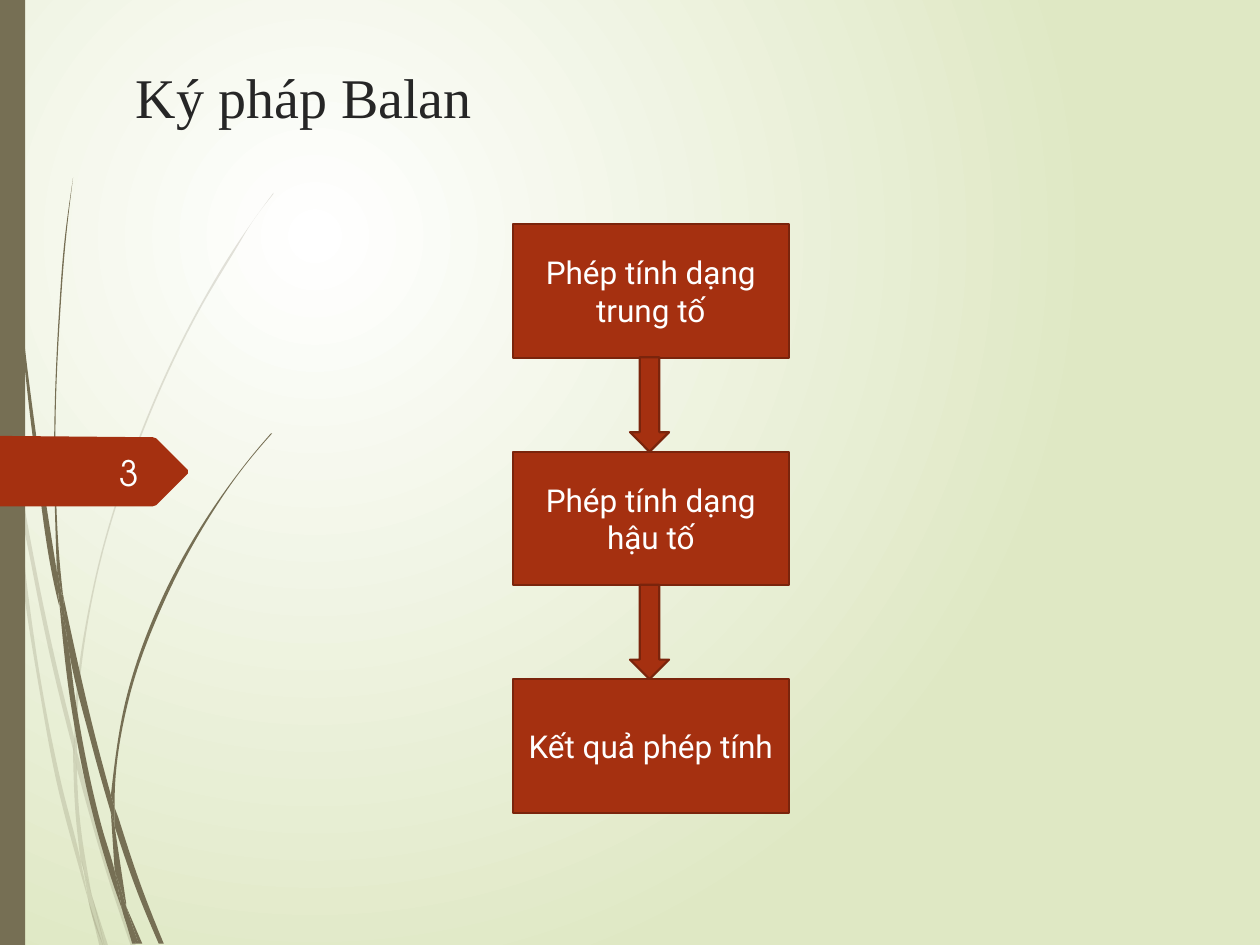
from dataclasses import dataclass
from math import dist

from lxml import etree
from pptx import Presentation
from pptx import util as u
from pptx.dml.color import RGBColor
from pptx.enum import shapes, text
from pptx.oxml.ns import qn

OLIVE, RUST, DARK_RUST = "766F54", "A53010", "7A240C"
Point = tuple[float, float]

# Each blade is a closed outline; "|" parts its smooth edges, points are inches
FAINT_BLADES = [
    "0.08,3.5 0.06,3.22 0,2.82 | 0,2.99 0.07,3.44",
    "0.1,3.45 0.12,3.76 0.25,4.49 0.4,5.22 0.59,5.99 | 0.59,5.86 0.43,5.2 0.25,4.33 0.1,3.45",
    "0.64,6.07 0.61,5.96 | 0.61,6.1 0.85,6.94 1.04,7.51 | 1.08,7.51 0.88,6.92 0.64,6.07",
    "0.83,7.51 0.86,7.51 | 0.73,7.11 0.83,7.51",
    "0.08,3.5 0.12,3.76 0.22,4.69 0.33,5.44 0.48,6.19 0.64,6.83 0.7,7.14"
    " | 0.7,7.14 0.64,6.93 0.45,6.21 0.31,5.46 0.19,4.7 0.08,3.5",
    "0.58,5.99 0.6,6.46 0.64,6.83 | 0.67,6.92 0.73,7.11"
    " | 0.72,7.06 0.63,6.46 0.61,6.1 | 0.61,6.08 0.58,5.99",
    "0.61,5.96 0.61,5.84 0.76,4.62 1.11,3.49 1.59,2.45 1.87,1.98 2.01,1.75 2.17,1.54"
    " | 2.17,1.53 2.01,1.75 1.86,1.97 1.58,2.44 1.1,3.48 0.75,4.61 0.59,5.84 0.59,5.86",
    "0.7,7.14 0.79,7.51 | 0.82,7.51 0.7,7.14",
    "0.61,6.1 0.61,5.96 | 0.59,5.86 0.58,5.99 | 0.61,6.08 0.61,6.1",
    "0.67,6.92 0.65,6.83 | 0.69,7.07 0.7,7.14 0.82,7.51 | 0.83,7.51 0.73,7.11 0.67,6.92",
]
SOLID_BLADES = [
    "0.02,0 0.03,0.48 0.05,1.1 0.14,2.33 0.27,3.55 0.46,4.77 0.47,4.81"
    " | 0.45,4.53 0.3,3.55 0.15,2.32 0.06,1.09 0.04,0.48 0.03,0",
    "0.5,4.72 0.53,5.05 0.73,5.92 0.88,6.45 | 0.88,6.31 0.77,5.9 0.5,4.72",
    "0.94,6.49 0.91,6.41 | 0.91,6.56 1.09,7.08 1.26,7.49 | 1.3,7.49 1.13,7.06 0.94,6.49",
    "0.47,4.77 0.53,5.05 0.6,5.56 0.81,6.57 0.91,6.91 0.96,7.17 0.97,7.22"
    " | 0.97,7.22 0.92,7.08 0.77,6.59 0.56,5.57 0.47,4.77",
    "0.5,4.72 0.48,4.53 0.44,3.49 0.48,2.45 0.52,1.93 0.58,1.41"
    " | 0.58,1.41 0.51,1.93 0.47,2.45 0.43,3.49 0.45,4.49 | 0.49,4.72 0.5,4.72",
    "1.1,7.49 1.13,7.49 | 1,7.19 1.1,7.49",
    "0.47,4.77 0.53,5.05 | 0.5,4.72 0.49,4.72 | 0.45,4.49 0.45,4.53 0.47,4.77",
    "0.91,6.41 0.91,6.33 1.03,5.52 1.31,4.76 1.69,4.06 1.91,3.74 2.03,3.59 2.16,3.44"
    " | 2.15,3.44 2.03,3.58 1.91,3.73 1.68,4.05 1.29,4.74 1.01,5.51 0.88,6.31",
    "0.97,7.22 1.05,7.49 | 1.08,7.49 0.97,7.22",
    "0.88,6.45 0.91,6.91 | 0.96,7.06 1,7.19 | 1,7.16 0.91,6.56 | 0.9,6.51 0.88,6.45",
    "0.88,6.45 0.9,6.51 0.91,6.56 | 0.91,6.41 0.88,6.31 | 0.88,6.33 0.88,6.45",
    "0.96,7.06 0.91,6.91 | 0.96,7.17 0.97,7.22 1.08,7.49 | 1.1,7.49 1,7.19 0.96,7.06",
]
NUMBER_TAG = [(0, 3.46), (1.11, 3.47), (1.21, 3.47), (1.24, 3.48), (1.49, 3.73), (1.49, 3.76),
              (1.24, 4.01), (1.21, 4.02), (0, 4.02)]


@dataclass
class Box:
    left: float
    top: float
    width: float
    height: float

    def lengths(self) -> list[u.Length]:
        return [u.Inches(v) for v in (self.left, self.top, self.width, self.height)]


@dataclass
class Label:
    words: str
    size: int
    font: str
    colour: str
    align: text.PP_ALIGN = text.PP_ALIGN.LEFT
    anchor: text.MSO_ANCHOR = text.MSO_ANCHOR.MIDDLE


def rgb(value: str) -> RGBColor:
    return RGBColor.from_string(value)


def paint(sp, fill: str, line: str | None = None, alpha: int = 100) -> None:
    sp.shadow.inherit = False
    sp.fill.solid()
    sp.fill.fore_color.rgb = rgb(fill)
    if alpha < 100:
        colour = sp.element.spPr.find(f"{qn('a:solidFill')}/{qn('a:srgbClr')}")
        etree.SubElement(colour, qn("a:alpha"), val=str(alpha * 1000))
    if line:
        sp.line.color.rgb = rgb(line)
        sp.line.width = u.Pt(1.25)
    else:
        sp.line.fill.background()


def write(sp, label: Label) -> None:
    tf = sp.text_frame
    tf.word_wrap = True
    tf.vertical_anchor = label.anchor
    p = tf.paragraphs[0]
    p.alignment = label.align
    r = p.add_run()
    r.text = label.words
    for name, value in {"size": u.Pt(label.size), "name": label.font}.items():
        setattr(r.font, name, value)
    r.font.color.rgb = rgb(label.colour)


def add_preset(s, kind: shapes.MSO_SHAPE, box: Box, fill: str, line: str | None = None):
    sp = s.shapes.add_shape(kind, *box.lengths())
    paint(sp, fill, line)
    return sp


def add_outline(parent, points: list[Point], fill: str, alpha: int = 100):
    start, *rest = [(u.Inches(x), u.Inches(y)) for x, y in points]
    builder = parent.build_freeform(*start)
    builder.add_line_segments(rest, close=True)
    sp = builder.convert_to_shape()
    paint(sp, fill, alpha=alpha)
    return sp


def edge_controls(edge: list[Point]) -> list[tuple[Point, Point]]:
    """Bezier controls of each span, from parabolas through neighbouring points."""
    chords = [dist(a, b) for a, b in zip(edge, edge[1:])]
    slopes = [[(b[k] - a[k]) / c for k in (0, 1)] for a, b, c in zip(edge, edge[1:], chords)]
    inner = [[(m[k] * d + n[k] * c) / (c + d) for k in (0, 1)]
             for m, n, c, d in zip(slopes, slopes[1:], chords, chords[1:])]
    first, last = ([1.5 * m[k] - 0.5 * n[k] for k in (0, 1)]
                   for m, n in ((slopes[0], inner[0]), (slopes[-1], inner[-1])))
    tangents = [first, *inner, last]
    return [(tuple(edge[i][k] + tangents[i][k] * c / 3 for k in (0, 1)),
             tuple(edge[i + 1][k] - tangents[i + 1][k] * c / 3 for k in (0, 1)))
            for i, c in enumerate(chords)]


def add_blade(parent, blade: str, alpha: int) -> None:
    points, controls = [], {}
    for part in blade.split("|"):
        edge = [tuple(map(float, xy.split(","))) for xy in part.split()]
        if points and points[-1] == edge[0]:
            points.pop()
        if len(edge) > 2:
            controls.update(enumerate(edge_controls(edge), len(points)))
        points += edge
    sp = add_outline(parent, points, OLIVE, alpha)

    # Bend the straight spans of the smooth edges
    left, top = min(x for x, _ in points), min(y for _, y in points)
    for i, span in enumerate(list(sp.element.iter(qn("a:lnTo")))):
        if i in controls:
            span.tag = qn("a:cubicBezTo")
            for k, (x, y) in enumerate(controls[i]):
                pt = etree.Element(qn("a:pt"), x=str(u.Inches(x - left)), y=str(u.Inches(y - top)))
                span.insert(k, pt)


def set_background(s) -> None:
    fill = s.background.fill
    fill.gradient()
    for stop, colour in zip(fill.gradient_stops, ("FFFFFF", "DFE8C4")):
        stop.color.rgb = rgb(colour)
    grad = s.element.find(f".//{qn('a:gradFill')}")
    grad.remove(grad.find(qn("a:lin")))
    circle = etree.SubElement(grad, qn("a:path"), path="circle")
    etree.SubElement(circle, qn("a:fillToRect"), l="50000", t="50000", r="100000", b="100000")


def main() -> None:
    prs = Presentation()
    prs.slide_width, prs.slide_height = u.Inches(10), u.Inches(7.5)
    s = prs.slides.add_slide(prs.slide_layouts[6])

    # Backdrop: gradient, grass blades, side bar and number tag
    set_background(s)
    for blades, alpha in ((FAINT_BLADES, 20), (SOLID_BLADES, 100)):
        group = s.shapes.add_group_shape()
        for blade in blades:
            add_blade(group.shapes, blade, alpha)
    add_preset(s, shapes.MSO_SHAPE.RECTANGLE, Box(0, 0, 0.2, 7.5), OLIVE)
    add_outline(s.shapes, NUMBER_TAG, RUST)

    # Title and slide number
    title = Label("Ký pháp Balan", 32, "Times New Roman", "262626", anchor=text.MSO_ANCHOR.BOTTOM)
    number = Label("3", 20, "TeX Gyre Adventor", "FEFFFF", text.PP_ALIGN.RIGHT)
    for box, label in ((Box(0.98, 0.2, 7.21, 0.88), title), (Box(0.56, 3.55, 0.64, 0.4), number)):
        write(s.shapes.add_textbox(*box.lengths()), label)

    # Flow: three evenly spaced steps, with an arrow ending at each next one
    stages = ["Phép tính dạng trung tố", "Phép tính dạng hậu tố", "Kết quả phép tính"]
    first, last, arrow = 1.78, 5.39, 0.75
    pitch = (last - first) / (len(stages) - 1)
    tops = [first + i * pitch for i in range(len(stages))]
    for y, words in zip(tops, stages):
        sp = add_preset(s, shapes.MSO_SHAPE.RECTANGLE, Box(4.07, y, 2.19, 1.06), RUST, DARK_RUST)
        write(sp, Label(words, 18, "Roboto", "FFFFFF", text.PP_ALIGN.CENTER))
    for y in tops[1:]:
        add_preset(s, shapes.MSO_SHAPE.DOWN_ARROW, Box(5, y - arrow, 0.31, arrow), RUST, DARK_RUST)

    prs.save("out.pptx")


if __name__ == "__main__":
    main()
